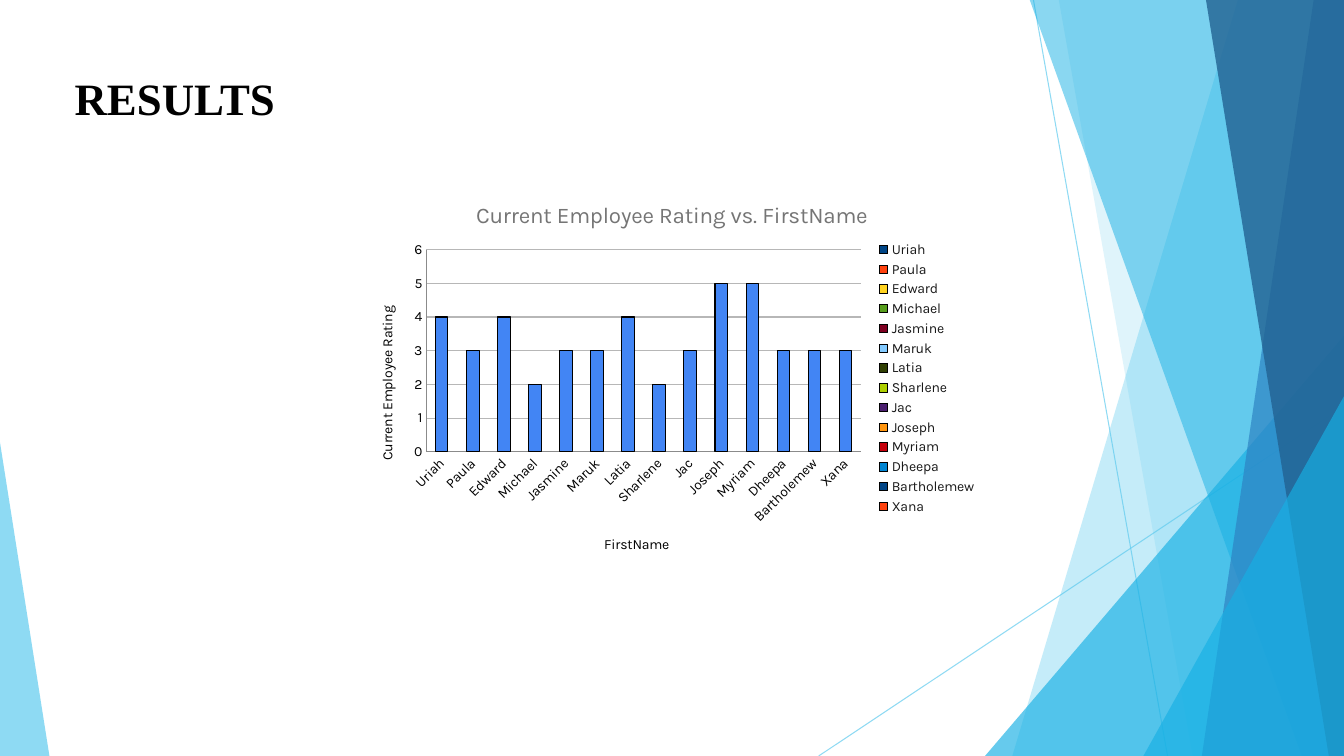
from lxml import etree
from pptx import Presentation
from pptx.chart.data import CategoryChartData
from pptx.dml.color import RGBColor
from pptx.enum.chart import XL_CHART_TYPE, XL_LEGEND_POSITION, XL_TICK_MARK
from pptx.enum.shapes import MSO_CONNECTOR, MSO_SHAPE
from pptx.enum.text import MSO_ANCHOR, MSO_AUTO_SIZE, PP_ALIGN
from pptx.oxml import parse_xml
from pptx.oxml.ns import nsdecls, qn
from pptx.util import Inches, Pt

COLUMN = XL_CHART_TYPE.COLUMN_CLUSTERED
LEGEND_RIGHT = XL_LEGEND_POSITION.RIGHT
NO_TICK = XL_TICK_MARK.NONE
STRAIGHT = MSO_CONNECTOR.STRAIGHT
TRIANGLE = MSO_SHAPE.ISOSCELES_TRIANGLE
TOP = MSO_ANCHOR.TOP
GROW = MSO_AUTO_SIZE.SHAPE_TO_FIT_TEXT
LEFT = PP_ALIGN.LEFT


class Theme:
    sky, cyan, blue, navy = "5FCBEF", "17B0E4", "2E83C3", "226292"
    black, white, bar = "000000", "FFFFFF", "4285F4"
    grid, axis, legend, chart_title = "B7B7B7", "8B8B8B", "1A1A1A", "757575"
    heading = dict(name="Times New Roman", size=Pt(32), bold=True)
    chart_heading = dict(name="Karla", size=Pt(16), bold=False)
    label = dict(name="Karla", size=Pt(10), bold=False)


def style_font(font, style, colour):
    for key, value in style.items():
        setattr(font, key, value)
    font.color.rgb = RGBColor.from_string(colour)


def paint(fill, colour, opacity=100):
    fill.solid()
    fill.fore_color.rgb = RGBColor.from_string(colour)
    if opacity < 100:
        clr = fill._xPr.find(qn("a:solidFill"))[0]
        etree.SubElement(clr, qn("a:alpha"), val=str(opacity * 1000))


W, H = 13.33, 7.5
prs = Presentation()
prs.slide_width, prs.slide_height = Inches(W), Inches(H)
s = prs.slides.add_slide(prs.slide_layouts[5])

# Thin crossing lines
for x1, y1, x2, y2 in [(10.25, 0, 11.58, H), (W, 4.03, 8.12, H)]:
    cx = s.shapes.add_connector(STRAIGHT, Inches(x1), Inches(y1), Inches(x2), Inches(y2))
    cx.line.width = Pt(0.75)
    paint(cx.line.fill, Theme.sky, 70)
    etree.SubElement(cx._element.spPr, qn("a:effectLst"))

# Facets: a band is (top x, bottom x) out to the right edge,
# a triangle is (left, top, width, apex) down to the bottom edge
facets = [
    ((12.28, 10.04), Theme.sky, 36),
    ((10.5, 11.83), Theme.sky, 20),
    ((9.77, 3.33, 3.56, 1), Theme.cyan, 66),
    ((10.21, 12.91), Theme.cyan, 50),
    ((13.03, 11.92), Theme.blue, 70),
    ((11.96, 13.18), Theme.navy, 80),
    ((11.34, 3.93, 1.99, 1), Theme.cyan, 66),
    ((0, 4.39, 0.49, 0), Theme.sky, 70),
]
for geometry, colour, opacity in facets:
    if len(geometry) == 2:
        top_x, bottom_x = geometry
        fb = s.shapes.build_freeform(Inches(top_x), Inches(-0.01))
        corners = [(W, -0.01), (W, H), (bottom_x, H)]
        fb.add_line_segments([(Inches(x), Inches(y)) for x, y in corners], close=True)
        sp = fb.convert_to_shape()
    else:
        x, y, width, apex = geometry
        sp = s.shapes.add_shape(TRIANGLE, Inches(x), Inches(y), Inches(width), Inches(H - y))
        sp.adjustments[0] = apex
    sp.shadow.inherit = False
    sp.line.fill.background()
    paint(sp.fill, colour, opacity)

# Title
title = s.shapes.title
title.left, title.top, title.width, title.height = map(Inches, (0.64, 0.65, 7.59, 0.64))
tf = title.text_frame
tf.text = "RESULTS"
tf.word_wrap, tf.auto_size, tf.vertical_anchor = True, GROW, TOP
p = tf.paragraphs[0]
p.alignment = LEFT
style_font(p.runs[0].font, Theme.heading, Theme.black)

# Ratings chart
ratings = {
    "Uriah": 4, "Paula": 3, "Edward": 4, "Michael": 2, "Jasmine": 3,
    "Maruk": 3, "Latia": 4, "Sharlene": 2, "Jac": 3, "Joseph": 5,
    "Myriam": 5, "Dheepa": 3, "Bartholemew": 3, "Xana": 3,
}
data = CategoryChartData()
data.categories = list(ratings)
data.add_series("Current Employee Rating", list(ratings.values()))
frame = s.shapes.add_chart(COLUMN, Inches(3.54), Inches(1.82), Inches(6.25), Inches(3.86), data)
chart = frame.chart
style_font(chart.font, Theme.label, Theme.black)
space = chart._chartSpace
space.find(qn("c:chart")).addnext(parse_xml(
    f'<c:spPr {nsdecls("c", "a")}><a:solidFill><a:srgbClr val="{Theme.white}"/>'
    '</a:solidFill><a:ln><a:noFill/></a:ln></c:spPr>'))

# Bars share one colour; the legend lists the categories
plot = chart.plots[0]
plot.gap_width = 150
plot.vary_by_categories = True
bars = plot.series[0].format
paint(bars.fill, Theme.bar)
paint(bars.line.fill, Theme.black)
bars.line.width = Pt(0.75)
chart.has_legend = True
chart.legend.position = LEGEND_RIGHT
chart.legend.include_in_layout = False
style_font(chart.legend.font, Theme.label, Theme.legend)

# Chart and axis titles
cat_axis, val_axis = chart.category_axis, chart.value_axis
for owner, text, style, colour in [
    (chart, "Current Employee Rating vs. FirstName", Theme.chart_heading, Theme.chart_title),
    (cat_axis, "FirstName", Theme.label, Theme.black),
    (val_axis, "Current Employee Rating", Theme.label, Theme.black),
]:
    holder = owner.chart_title if owner is chart else owner.axis_title
    holder.text_frame.text = text
    style_font(holder.text_frame.paragraphs[0].runs[0].font, style, colour)

# Axes
for axis in (cat_axis, val_axis):
    axis.major_tick_mark = axis.minor_tick_mark = NO_TICK
    style_font(axis.tick_labels.font, Theme.label, Theme.black)
    paint(axis.format.line.fill, Theme.axis)
cat_axis._element.find(qn("c:txPr")).find(qn("a:bodyPr")).set("rot", "-2700000")
val_axis.minimum_scale, val_axis.maximum_scale, val_axis.major_unit = 0, 6, 1
val_axis.has_major_gridlines = True
grid = val_axis.major_gridlines.format.line
paint(grid.fill, Theme.grid)
grid.width = Pt(0.75)

# Plot area position, as fractions of the chart
area = space.find(qn("c:chart")).find(qn("c:plotArea"))
for old in area.findall(qn("c:layout")):
    area.remove(old)
layout = etree.Element(qn("c:layout"))
manual = etree.SubElement(layout, qn("c:manualLayout"))
for tag, value in [("layoutTarget", "inner"), ("xMode", "edge"), ("yMode", "edge"),
                   ("x", 0.11), ("y", 0.17), ("w", 0.69), ("h", 0.52)]:
    etree.SubElement(manual, qn(f"c:{tag}"), val=str(value))
area.insert(0, layout)

prs.save("out.pptx")
